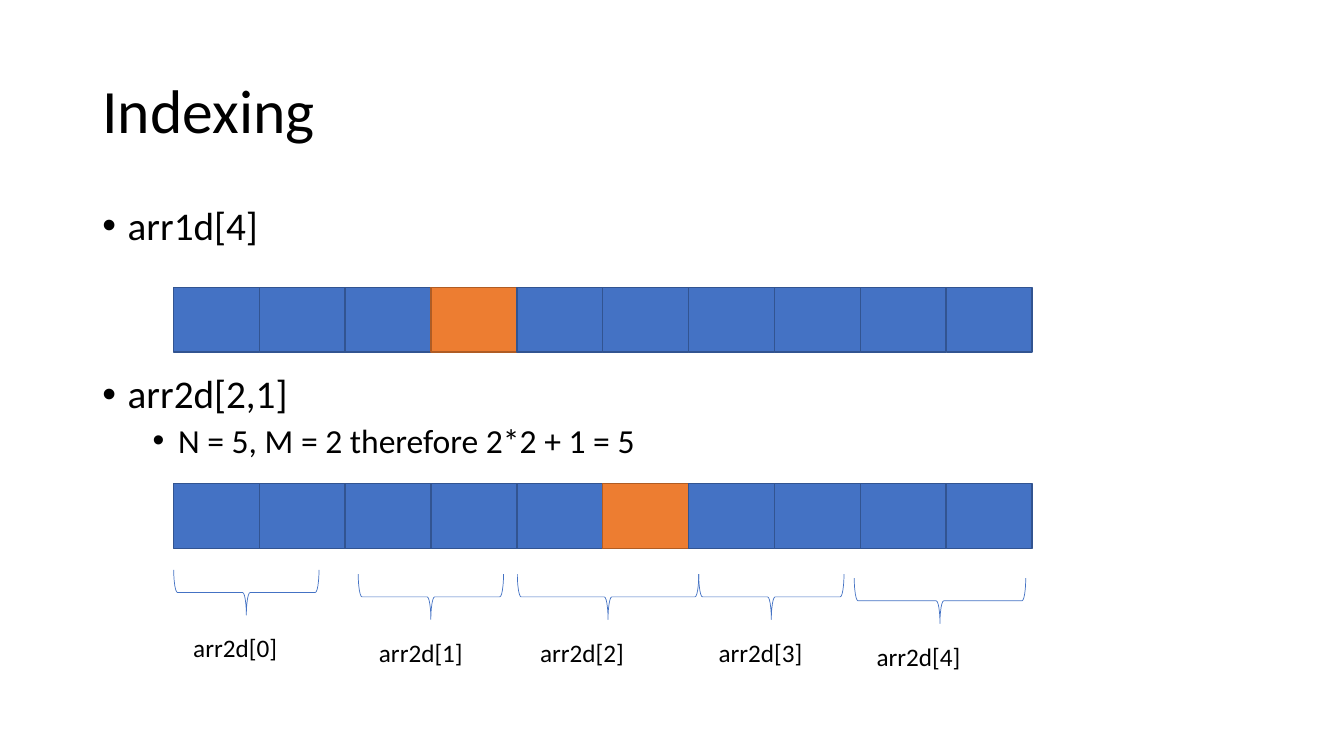
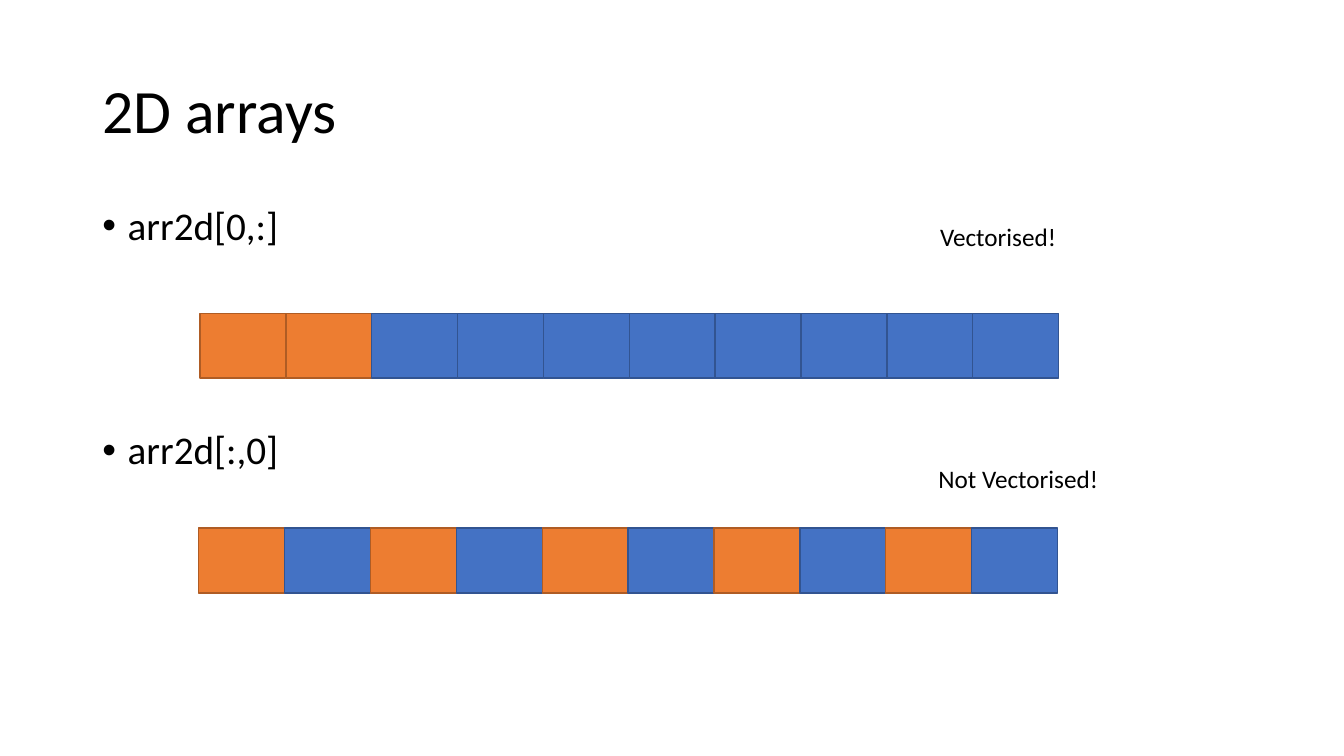
from lxml.etree import SubElement
from pptx import Presentation
from pptx.dml.color import RGBColor
from pptx.enum.shapes import MSO_SHAPE
from pptx.enum.text import MSO_ANCHOR, MSO_AUTO_SIZE, PP_ALIGN
from pptx.oxml.ns import qn
from pptx.util import Cm, Pt

BLACK = RGBColor(0x00, 0x00, 0x00)
BLUE = RGBColor(0x44, 0x72, 0xC4)
BLUE_EDGE = RGBColor(0x32, 0x54, 0x91)
ORANGE = RGBColor(0xED, 0x7D, 0x31)
ORANGE_EDGE = RGBColor(0xAF, 0x5C, 0x24)
FONT = "Calibri"

TITLE_BOX = (2.33, 1.01, 29.21, 3.68)
BODY_BOX = (2.33, 5.08, 29.21, 12.09)
ROW_WIDTH, ROW_HEIGHT, CELL_COUNT = 21.64, 1.63, 10
BRACE_HEIGHT, LABEL_DROP = 1.14, 1.46
LABEL_HEIGHT = 1.03
INDENT_STEP, HANGING = 1.27, 0.64


def apply_format(target, values):
    for name, value in values.items():
        setattr(target, name, value)


def place(shape, box):
    sides = ("left", "top", "width", "height")
    apply_format(shape, {side: Cm(length) for side, length in zip(sides, box)})


def write(para, text, size):
    span = para.add_run()
    span.text = text
    apply_format(span.font, {"name": FONT, "size": Pt(size)})
    span.font.color.rgb = BLACK


def add_page(deck, title):
    page = deck.slides.add_slide(deck.slide_layouts[5])
    heading = page.shapes.title
    place(heading, TITLE_BOX)
    heading.text_frame.vertical_anchor = MSO_ANCHOR.MIDDLE
    para = heading.text_frame.paragraphs[0]
    apply_format(para, {"alignment": PP_ALIGN.LEFT, "line_spacing": 0.9})
    write(para, title, 44)
    return page


def add_bullets(page, box, bullets):
    """Each bullet is (text, level, size, points of space before)."""
    frame = page.shapes.add_textbox(*map(Cm, box)).text_frame
    frame.word_wrap = True
    for index, (text, level, size, gap) in enumerate(bullets):
        para = frame.add_paragraph() if index else frame.paragraphs[0]
        apply_format(para, {"level": level, "line_spacing": 0.9, "space_before": Pt(gap)})
        properties = para._p.get_or_add_pPr()
        properties.set("marL", str(Cm(HANGING + level * INDENT_STEP)))
        properties.set("indent", str(-Cm(HANGING)))
        SubElement(properties, qn("a:buFont"), typeface="Arial")
        SubElement(properties, qn("a:buChar"), char="•")
        write(para, text, size)


def add_memory_row(page, left, top, selected):
    """Draw the cells of an array, with the selected indices in orange."""
    row = page.shapes.add_group_shape()
    cell_width = ROW_WIDTH / CELL_COUNT
    for index in range(CELL_COUNT):
        box = (left + index * cell_width, top, cell_width, ROW_HEIGHT)
        cell = row.shapes.add_shape(MSO_SHAPE.RECTANGLE, *map(Cm, box))
        cell.shadow.inherit = False
        fill, edge = (ORANGE, ORANGE_EDGE) if index in selected else (BLUE, BLUE_EDGE)
        cell.fill.solid()
        cell.fill.fore_color.rgb = fill
        cell.line.color.rgb = edge
        cell.line.width = Pt(1)


def add_label(shapes, text, left, top, width):
    label = shapes.add_textbox(*map(Cm, (left, top, width, LABEL_HEIGHT)))
    frame = label.text_frame
    apply_format(frame, {"word_wrap": False, "auto_size": MSO_AUTO_SIZE.SHAPE_TO_FIT_TEXT})
    write(frame.paragraphs[0], text, 18)


def add_labelled_brace(shapes, text, left, top, width, label_left):
    """Turn a left brace to point down, filling the box from left and top."""
    shift = (width - BRACE_HEIGHT) / 2
    box = (left + shift, top - shift, BRACE_HEIGHT, width)
    brace = shapes.add_shape(MSO_SHAPE.LEFT_BRACE, *map(Cm, box))
    brace.rotation = 270
    brace.shadow.inherit = False
    brace.fill.background()
    brace.line.color.rgb = BLUE
    brace.line.width = Pt(0.5)
    add_label(shapes, text, label_left, top + LABEL_DROP, 2.64)


def build_indexing(deck):
    page = add_page(deck, "Indexing")
    add_bullets(page, BODY_BOX, [
        ("arr1d[4]", 0, 28, 10),
        ("arr2d[2,1]", 0, 28, 90),
        ("N = 5, M = 2 therefore 2*2 + 1 = 5", 1, 24, 5),
    ])
    add_memory_row(page, 4.37, 7.24, {3})
    add_memory_row(page, 4.37, 12.19, {5})
    braces = page.shapes.add_group_shape()
    spans = [
        (4.38, 14.36, 3.66, 4.62),
        (9.03, 14.47, 3.66, 9.3),
        (13.04, 14.47, 4.57, 13.36),
        (17.61, 14.47, 3.66, 17.86),
        (21.53, 14.57, 4.32, 21.84),
    ]
    for index, span in enumerate(spans):
        add_labelled_brace(braces.shapes, f"arr2d[{index}]", *span)


def build_slicing(deck):
    page = add_page(deck, "2D arrays")
    add_bullets(page, BODY_BOX, [
        ("arr2d[0,:]", 0, 28, 10),
        ("arr2d[:,0]", 0, 28, 130),
    ])
    add_memory_row(page, 5.04, 7.9, {0, 1})
    add_memory_row(page, 5.01, 13.31, set(range(0, CELL_COUNT, 2)))
    add_label(page.shapes, "Vectorised!", 23.44, 5.44, 3.48)
    add_label(page.shapes, "Not Vectorised!", 23.4, 11.56, 4.6)


def main():
    deck = Presentation()
    apply_format(deck, {"slide_width": Cm(33.87), "slide_height": Cm(19.05)})
    build_indexing(deck)
    build_slicing(deck)
    deck.save("out.pptx")


if __name__ == "__main__":
    main()
